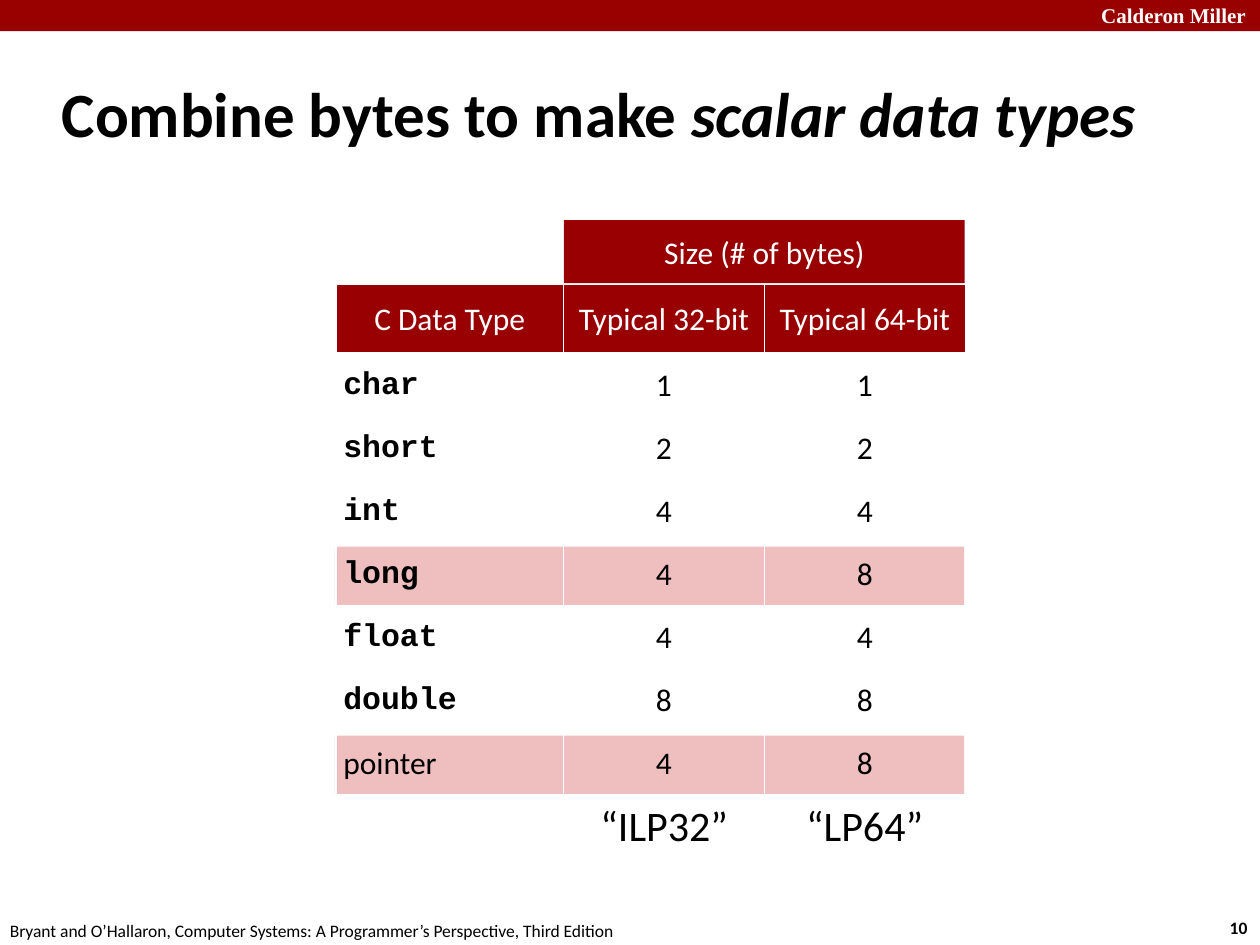
from dataclasses import dataclass

from lxml import etree
from pptx import Presentation
from pptx.dml.color import RGBColor
from pptx.enum.shapes import MSO_SHAPE
from pptx.enum.text import MSO_ANCHOR, MSO_AUTO_SIZE, PP_ALIGN
from pptx.oxml.ns import qn
from pptx.util import Cm, Pt

RECTANGLE = MSO_SHAPE.RECTANGLE
MIDDLE, TOP = MSO_ANCHOR.MIDDLE, MSO_ANCHOR.TOP
LEFT, CENTER = PP_ALIGN.LEFT, PP_ALIGN.CENTER
NO_AUTOFIT = MSO_AUTO_SIZE.NONE
TITLE_ONLY = 5


@dataclass(frozen=True)
class Theme:
    """Colours, fonts and type sizes of the slide."""
    white: str = "FFFFFF"
    black: str = "000000"
    banner: str = "990000"
    header: str = "980002"
    highlight: str = "EFBFBF"
    sans: str = "Calibri"
    mono: str = "Courier New"
    serif: str = "Times New Roman"
    title: int = 36
    model: int = 24
    body: int = 18
    brand: int = 12
    footer: int = 10


THEME = Theme()


@dataclass(frozen=True)
class Style:
    """Look of one paragraph."""
    size: int = THEME.body
    font: str = THEME.sans
    color: str = THEME.black
    bold: bool = False
    align: PP_ALIGN = LEFT


@dataclass(frozen=True)
class Box:
    """Position and size in centimetres."""
    left: float
    top: float
    width: float
    height: float

    def lengths(self):
        """Return the four values as lengths."""
        return [Cm(value) for value in (self.left, self.top, self.width, self.height)]


@dataclass(frozen=True)
class Label:
    """A one-line text box."""
    text: str
    box: Box
    style: Style


@dataclass(frozen=True)
class DataType:
    """A C data type with its sizes in bytes."""
    name: str
    size32: int
    size64: int
    code: bool = True
    highlighted: bool = False


HEADER_STYLE = Style(color=THEME.white, align=CENTER)
VALUE_STYLE = Style(align=CENTER)
CODE_STYLE = Style(font=THEME.mono, bold=True)
MODEL_STYLE = Style(size=THEME.model, align=CENTER)

LABELS = [
    Label("Calderon Miller", Box(21.95, -0.08, 3.63, 0.76),
          Style(THEME.brand, THEME.serif, THEME.white, True)),
    Label("10", Box(24.54, 18.36, 0.94, 0.69), Style(THEME.footer, bold=True)),
    Label("Bryant and O’Hallaron, Computer Systems: A Programmer’s Perspective, Third Edition",
          Box(-0.05, 18.42, 12.9, 0.69), Style(THEME.footer)),
]
HEADINGS = ["C Data Type", "Typical 32-bit", "Typical 64-bit"]
DATA_TYPES = [
    DataType("char", 1, 1),
    DataType("short", 2, 2),
    DataType("int", 4, 4),
    DataType("long", 4, 8, highlighted=True),
    DataType("float", 4, 4),
    DataType("double", 8, 8),
    DataType("pointer", 4, 8, code=False, highlighted=True),
]
MODELS = ["“ILP32”", "“LP64”"]
TABLE_LEFT, TABLE_TOP = 6.77, 5.73
HEADER_HEIGHT, ROW_HEIGHT = 1.41, 1.27
NAME_WIDTH, VALUE_WIDTH = 4.59, 4.05
CELL_MARGIN = 0.15


def format_paragraph(para, style: Style) -> None:
    """Apply a style to a whole paragraph."""
    para.alignment = style.align
    para.font.size = Pt(style.size)
    para.font.name = style.font
    para.font.bold = style.bold
    para.font.color.rgb = RGBColor.from_string(style.color)


def add_block(slide, box: Box, color: str):
    """Add a plain filled rectangle."""
    block = slide.shapes.add_shape(RECTANGLE, *box.lengths())
    block.shadow.inherit = False
    block.fill.solid()
    block.fill.fore_color.rgb = RGBColor.from_string(color)
    block.line.fill.background()
    return block


def add_label(slide, label: Label) -> None:
    """Add a one-line text box."""
    frame = slide.shapes.add_textbox(*label.box.lengths()).text_frame
    frame.word_wrap = False
    frame.text = label.text
    format_paragraph(frame.paragraphs[0], label.style)


def set_borders(cell, top: float = 1, bottom: float = 1) -> None:
    """Draw white borders of the given point widths around a cell."""
    properties = cell._tc.get_or_add_tcPr()
    edges = [("lnL", 1), ("lnR", 1), ("lnT", top), ("lnB", bottom)]
    for position, (tag, width) in enumerate(edges):
        line = etree.Element(qn(f"a:{tag}"), w=str(Pt(width)))
        fill = etree.SubElement(line, qn("a:solidFill"))
        etree.SubElement(fill, qn("a:srgbClr"), val=THEME.white)
        properties.insert(position, line)


def fill_cell(cell, text: str, style: Style, color: str = "") -> None:
    """Write a cell and give it a colour, or none."""
    cell.text = text
    format_paragraph(cell.text_frame.paragraphs[0], style)
    if color:
        cell.fill.solid()
        cell.fill.fore_color.rgb = RGBColor.from_string(color)
    else:
        cell.fill.background()


def add_grid(slide, left: float, top: float, widths: list, heights: list):
    """Add a table with the given column widths and row heights."""
    box = Box(left, top, sum(widths), sum(heights))
    table = slide.shapes.add_table(len(heights), len(widths), *box.lengths()).table
    table.first_row = table.horz_banding = False
    for column, width in zip(table.columns, widths):
        column.width = Cm(width)
    for row, height in zip(table.rows, heights):
        row.height = Cm(height)
    return table


def add_type_table(slide) -> None:
    """Add the data type table over its highlight bars."""
    widths = [NAME_WIDTH, VALUE_WIDTH, VALUE_WIDTH]
    for index, kind in enumerate(DATA_TYPES):
        if kind.highlighted:
            top = TABLE_TOP + HEADER_HEIGHT + index * ROW_HEIGHT + 0.07
            add_block(slide, Box(TABLE_LEFT - 0.02, top, sum(widths), 1.19), THEME.highlight)
    heights = [HEADER_HEIGHT] + [ROW_HEIGHT] * len(DATA_TYPES)
    table = add_grid(slide, TABLE_LEFT, TABLE_TOP, widths, heights)
    for column, heading in enumerate(HEADINGS):
        fill_cell(table.cell(0, column), heading, HEADER_STYLE, THEME.header)
        set_borders(table.cell(0, column), bottom=3)
    for row, kind in enumerate(DATA_TYPES, start=1):
        name_style = CODE_STYLE if kind.code else Style()
        fill_cell(table.cell(row, 0), kind.name, name_style)
        fill_cell(table.cell(row, 1), str(kind.size32), VALUE_STYLE)
        fill_cell(table.cell(row, 2), str(kind.size64), VALUE_STYLE)
        for column in range(len(widths)):
            set_borders(table.cell(row, column), top=3 if row == 1 else 1)
    for cell in table.iter_cells():
        cell.vertical_anchor = MIDDLE
        cell.margin_left = cell.margin_right = Cm(CELL_MARGIN)
        cell.margin_top = cell.margin_bottom = Cm(CELL_MARGIN)


def add_title(slide) -> None:
    """Place and format the title placeholder."""
    title = slide.shapes.title
    title.left, title.top, title.width, title.height = Box(0.99, 1.21, 22.5, 2.11).lengths()
    frame = title.text_frame
    frame.auto_size = NO_AUTOFIT
    frame.vertical_anchor = MIDDLE
    para = frame.paragraphs[0]
    format_paragraph(para, Style(THEME.title, bold=True))
    para.add_run().text = "Combine bytes to make "
    span = para.add_run()
    span.text = "scalar data types"
    span.font.italic = True


def add_size_heading(slide) -> None:
    """Add the heading above the two size columns."""
    heading = add_block(slide, Box(11.37, 4.44, 8.08, 1.27), THEME.header)
    frame = heading.text_frame
    frame.text = "Size (# of bytes)"
    frame.vertical_anchor = MIDDLE
    format_paragraph(frame.paragraphs[0], HEADER_STYLE)


def add_model_table(slide) -> None:
    """Add the names of the data models under the size columns."""
    table = add_grid(slide, 11.37, 16.03, [4.04] * len(MODELS), [1.04])
    for column, model in enumerate(MODELS):
        cell = table.cell(0, column)
        fill_cell(cell, model, MODEL_STYLE, THEME.white)
        set_borders(cell)
        cell.vertical_anchor = TOP


def main() -> None:
    """Build the deck and save it."""
    deck = Presentation()
    deck.slide_width, deck.slide_height = Cm(25.4), Cm(19.05)
    page = deck.slides.add_slide(deck.slide_layouts[TITLE_ONLY])
    add_block(page, Box(0, 0, 25.4, 0.63), THEME.banner)
    for label in LABELS:
        add_label(page, label)
    add_type_table(page)
    add_title(page)
    add_size_heading(page)
    add_model_table(page)
    deck.save("out.pptx")


main()
